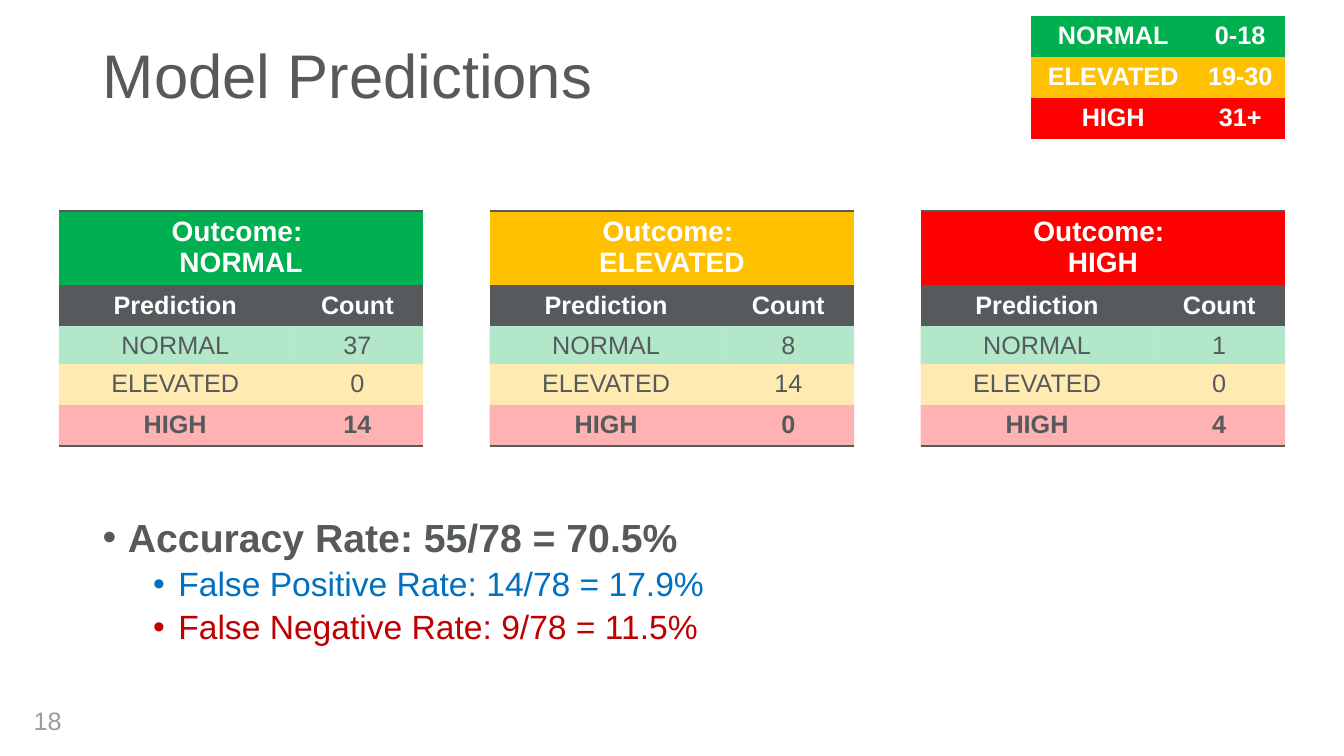
from lxml.etree import SubElement
from pptx import Presentation
from pptx.dml.color import RGBColor
from pptx.enum.text import MSO_ANCHOR as Anchor, MSO_AUTO_SIZE as AutoSize, PP_ALIGN as Align
from pptx.oxml import parse_xml
from pptx.oxml.ns import nsdecls, qn
from pptx.util import Pt

COLORS = {
    "NORMAL": "00B050",
    "ELEVATED": "FFC000",
    "HIGH": "FF0000",
    "gray": "565A5C",
    "white": "FFFFFF",
    "blue": "0070C0",
    "crimson": "C00000",
    "number": "9A9B9C",
}
LEVELS = ("NORMAL", "ELEVATED", "HIGH")
RANGES = ("0-18", "19-30", "31+")
COUNTS = {"NORMAL": (37, 0, 14), "ELEVATED": (8, 14, 0), "HIGH": (1, 0, 4)}
NO_GRID = "{2D5ABB26-0587-4C30-8999-92F81FD0307C}"


class PageBuilder:
    """Draws styled elements on the current slide."""

    font = "Arial"

    def __init__(self, page):
        self.page = page

    def span(self, para, text, size, color, bold=False):
        """Add one formatted run."""
        span = para.add_run()
        span.text = text
        span.font.name = self.font
        span.font.size = Pt(size)
        span.font.bold = bold
        span.font.color.rgb = RGBColor.from_string(COLORS[color])

    def place(self, box, left, top, width, height, anchor=Anchor.TOP):
        """Position a text shape and return its frame."""
        box.left, box.top, box.width, box.height = map(Pt, (left, top, width, height))
        frame = box.text_frame
        frame.word_wrap = True
        frame.auto_size = AutoSize.NONE
        frame.vertical_anchor = anchor
        return frame

    def title(self, text, *area):
        """Fill the title placeholder."""
        para = self.place(self.page.shapes.title, *area).paragraphs[0]
        para.alignment = Align.LEFT
        para.line_spacing = 0.9
        self.span(para, text, 44, "gray")

    def bullets(self, items, *area):
        """Fill the body placeholder with a two-level list."""
        frame = self.place(self.page.placeholders[1], *area)
        for index, (level, text, color) in enumerate(items):
            para = frame.add_paragraph() if index else frame.paragraphs[0]
            para.level = level
            para.line_spacing = 0.9
            para.space_before = Pt(5 if level else 10)
            props = para._p.get_or_add_pPr()
            props.set("marL", str(Pt(54 if level else 18)))
            props.set("indent", str(Pt(-18)))
            SubElement(props, qn("a:buFont")).set("typeface", self.font)
            SubElement(props, qn("a:buChar")).set("char", "•")
            self.span(para, text, 24 if level else 28, color, not level)

    def number(self, text, *area):
        """Add the page number."""
        box = self.page.shapes.add_textbox(*map(Pt, area))
        para = self.place(box, *area, anchor=Anchor.MIDDLE).paragraphs[0]
        para.alignment = Align.RIGHT
        self.span(para, text, 18, "number")

    def grid(self, left, top, widths, heights):
        """Add a plain table with the given column and row sizes."""
        area = map(Pt, (left, top, sum(widths), sum(heights)))
        frame = self.page.shapes.add_table(len(heights), len(widths), *area)
        next(frame.element.iter(qn("a:tableStyleId"))).text = NO_GRID
        table = frame.table
        table.first_row = table.horz_banding = False
        for column, width in zip(table.columns, widths):
            column.width = Pt(width)
        for row, height in zip(table.rows, heights):
            row.height = Pt(height)
        return table

    def cell(self, cell, lines, fill, size=18, color="white", bold=True, tint=False):
        """Fill one cell with centred lines on a solid or tinted colour."""
        cell.margin_bottom = Pt(2)
        cell.fill.solid()
        cell.fill.fore_color.rgb = RGBColor.from_string(COLORS[fill])
        if tint:
            shade = next(cell._tc.tcPr.iter(qn("a:srgbClr")))
            SubElement(shade, qn("a:alpha")).set("val", "30000")
        for index, line in enumerate(lines):
            para = cell.text_frame.add_paragraph() if index else cell.text_frame.paragraphs[0]
            para.alignment = Align.CENTER
            self.span(para, line, size, color, bold)

    def rule(self, row, *sides):
        """Draw gray borders on the given sides of a row."""
        for cell in row.cells:
            for position, side in enumerate(sides):
                border = parse_xml(
                    f'<a:{side} {nsdecls("a")} w="{Pt(2)}"><a:solidFill>'
                    f'<a:srgbClr val="{COLORS["gray"]}"/></a:solidFill></a:{side}>'
                )
                cell._tc.get_or_add_tcPr().insert(position, border)

    def outcome(self, level, counts, left):
        """Add the prediction table of one outcome."""
        table = self.grid(left, 150.8, (166.3, 94), (53.6, 28.6, 27.2, 29.3, 29.3))
        table.cell(0, 0).merge(table.cell(0, 1))
        self.cell(table.cell(0, 0), ("Outcome: ", level), level, 20)
        for column, heading in enumerate(("Prediction", "Count")):
            self.cell(table.cell(1, column), (heading,), "gray")
        for row, (name, count) in enumerate(zip(LEVELS, counts), 2):
            for column, text in enumerate((name, str(count))):
                self.cell(table.cell(row, column), (text,), name,
                          color="gray", bold=name == "HIGH", tint=True)
        self.rule(table.rows[0], "lnT", "lnB")
        self.rule(table.rows[4], "lnB")

    def legend(self, left, top):
        """Add the key of levels and score ranges."""
        table = self.grid(left, top, (117.4, 64), (29.3,) * 3)
        for row, (level, scores) in enumerate(zip(LEVELS, RANGES)):
            for column, text in enumerate((level, scores)):
                self.cell(table.cell(row, column), (text,), level)


def main():
    """Build and save the deck."""
    deck = Presentation()
    deck.slide_width, deck.slide_height = Pt(960), Pt(540)
    builder = PageBuilder(deck.slides.add_slide(deck.slide_layouts[1]))
    builder.title("Model Predictions", 66.2, 28.8, 828, 78.5)
    builder.bullets(
        (
            (0, "Accuracy Rate: 55/78 = 70.5%", "gray"),
            (1, "False Positive Rate: 14/78 = 17.9%", "blue"),
            (1, "False Negative Rate: 9/78 = 11.5%", "crimson"),
        ),
        66.2, 366.5, 464.4, 146.9,
    )
    for index, (level, counts) in enumerate(COUNTS.items()):
        builder.outcome(level, counts, 42 + 307.8 * index)
    builder.legend(736.5, 11.5)
    builder.number("18", 14.4, 500.4, 36.7, 28.8)
    deck.save("out.pptx")


if __name__ == "__main__":
    main()
